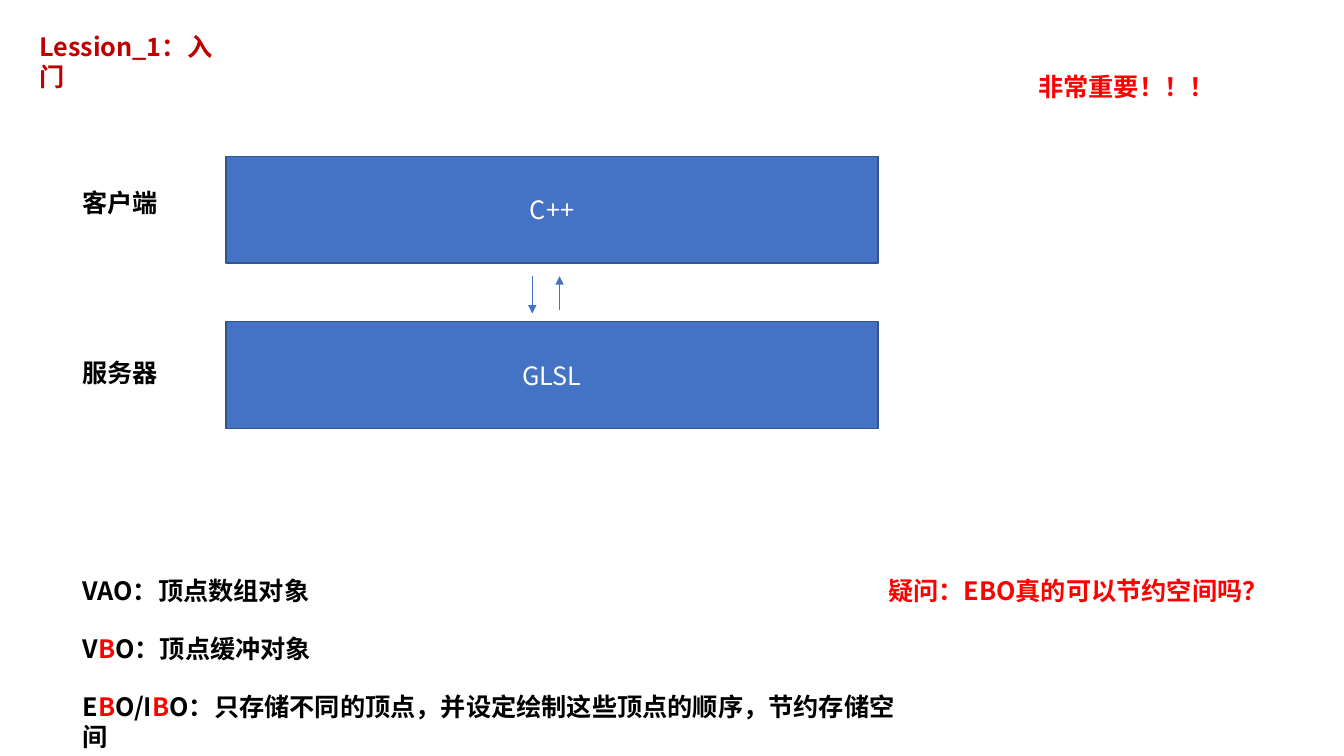
"""Build the slide on client and server layers and the vertex buffer objects."""
import pptx
import pptx.util
import pptx.dml.color
import pptx.enum.shapes
import pptx.enum.text
import pptx.oxml.ns
import lxml.etree

COLORS = {"black": "000000", "red": "FF0000", "dark_red": "C00000",
          "white": "FFFFFF", "blue": "4472C4", "outline": "325491"}
FONT = "Noto Sans CJK SC"
Inches = pptx.util.Inches


def color(name):
    return pptx.dml.color.RGBColor.from_string(COLORS[name])


def write(shape, runs, wrap=True, anchor="TOP", align="LEFT", bold=True):
    frame_format = {"word_wrap": wrap,
                    "auto_size": pptx.enum.text.MSO_AUTO_SIZE.NONE,
                    "vertical_anchor": getattr(pptx.enum.text.MSO_ANCHOR, anchor),
                    "margin_left": Inches(0.1), "margin_right": Inches(0.1),
                    "margin_top": Inches(0.05), "margin_bottom": Inches(0.05)}
    for name, value in frame_format.items():
        setattr(shape.text_frame, name, value)
    paragraph = shape.text_frame.paragraphs[0]
    paragraph.alignment = getattr(pptx.enum.text.PP_ALIGN, align)
    for text, color_name in runs:
        run = paragraph.add_run()
        run.text = text
        for name, value in {"name": FONT, "size": pptx.util.Pt(18), "bold": bold}.items():
            setattr(run.font, name, value)
        run.font.color.rgb = color(color_name)
        east_asian = lxml.etree.SubElement(run.font._element, pptx.oxml.ns.qn("a:ea"))
        east_asian.set("typeface", FONT)


presentation = pptx.Presentation()
presentation.slide_width = Inches(13.33)
presentation.slide_height = Inches(7.5)
slide = presentation.slides.add_slide(presentation.slide_layouts[5])

LABEL_LEFT, LINE_HEIGHT = 0.72, 0.4
BAR_LEFT, BAR_WIDTH, BAR_HEIGHT = 2.24, 6.47, 1.06
BAR_TOP, BAR_STEP = 1.55, 1.64
TERM_TOP, TERM_STEP = 5.66, 0.575

title = slide.shapes.title
title_place = {"left": 0.29, "top": 0.26, "width": 2.04, "height": LINE_HEIGHT}
for name, value in title_place.items():
    setattr(title, name, Inches(value))
write(title, [("Lession_1：入门", "dark_red")])

layers = [("客户端", "C++", 1.81), ("服务器", "GLSL", 3.5)]
for row, (label, language, label_top) in enumerate(layers):
    bar = slide.shapes.add_shape(
        pptx.enum.shapes.MSO_SHAPE.RECTANGLE, Inches(BAR_LEFT),
        Inches(BAR_TOP + row * BAR_STEP), Inches(BAR_WIDTH), Inches(BAR_HEIGHT))
    bar.shadow.inherit = False
    bar.fill.solid()
    bar.fill.fore_color.rgb = color("blue")
    bar.line.color.rgb = color("outline")
    bar.line.width = pptx.util.Pt(1)
    write(bar, [(language, "white")], anchor="MIDDLE", align="CENTER", bold=False)

terms = [
    [("VAO：顶点数组对象", "black")],
    [("V", "black"), ("B", "red"), ("O：顶点缓冲对象", "black")],
    [("E", "black"), ("B", "red"), ("O/I", "black"), ("B", "red"),
     ("O：只存储不同的顶点，并设定绘制这些顶点的顺序，节约存储空间", "black")],
]
texts = [(LABEL_LEFT, top, 0.96, False, [(label, "black")]) for label, _, top in layers]
texts += [(LABEL_LEFT, TERM_TOP + row * TERM_STEP, width, True, runs)
          for row, (width, runs) in enumerate(zip([2.62, 2.62, 8.45], terms))]
texts += [(BAR_LEFT + BAR_WIDTH, TERM_TOP, 3.96, False,
           [("疑问：EBO真的可以节约空间吗？", "red")]),
          (10.2, 0.66, 1.97, False, [("非常重要！！！", "red")])]
for left, top, width, wrap, runs in texts:
    box = slide.shapes.add_textbox(Inches(left), Inches(top), Inches(width), Inches(LINE_HEIGHT))
    write(box, runs, wrap)

for x, start, end in [(5.28, 2.74, 3.11), (5.55, 3.08, 2.74)]:
    arrow = slide.shapes.add_connector(
        pptx.enum.shapes.MSO_CONNECTOR.STRAIGHT, Inches(x), Inches(start), Inches(x), Inches(end))
    arrow.line.color.rgb = color("blue")
    arrow.line.width = pptx.util.Pt(0.5)
    properties = arrow._element.spPr
    head = lxml.etree.SubElement(arrow.line._get_or_add_ln(), pptx.oxml.ns.qn("a:tailEnd"))
    head.set("type", "triangle")
    lxml.etree.SubElement(properties, pptx.oxml.ns.qn("a:effectLst"))

presentation.save("out.pptx")
